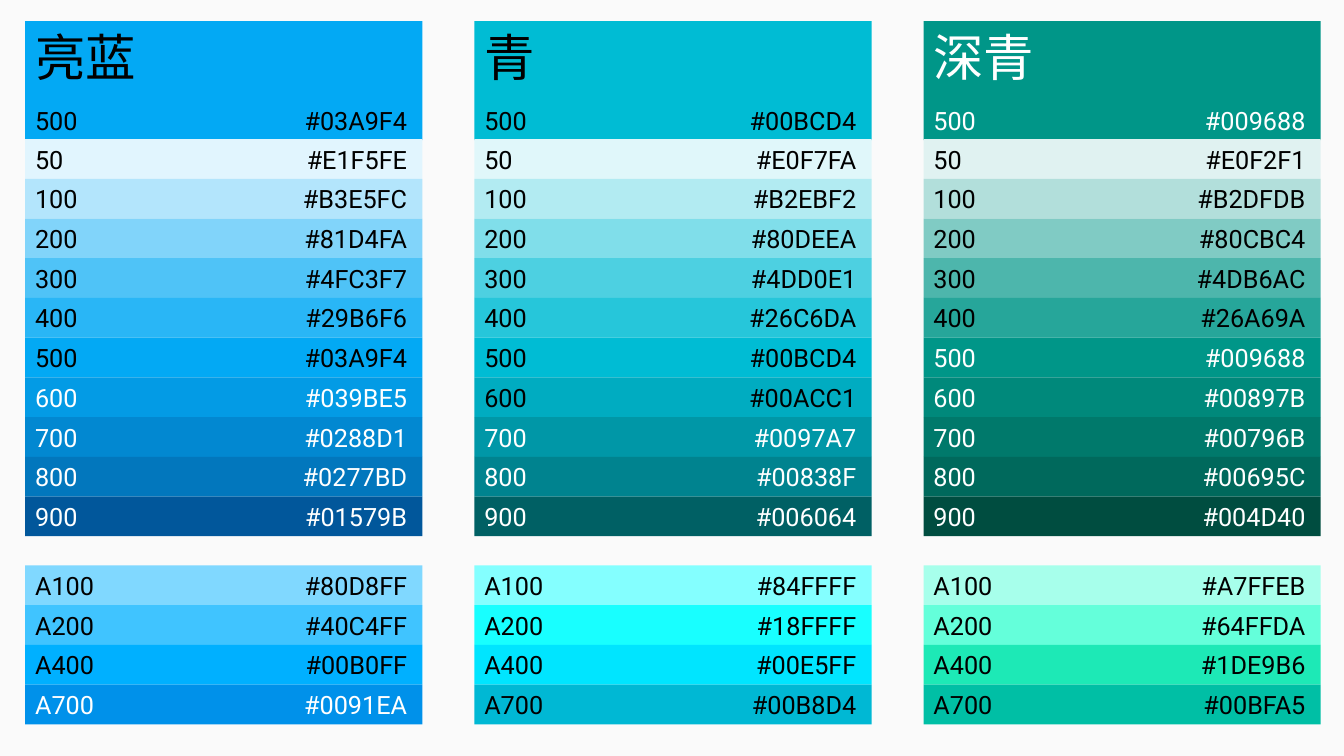
from lxml import etree
from pptx import Presentation, util as u
from pptx.dml.color import RGBColor
from pptx.enum import shapes, text
from pptx.oxml.ns import qn

WIDTH = u.Inches(3.94)
ROW = WIDTH // 10
SHADES = "50 100 200 300 400 500 600 700 800 900".split()
ACCENTS = "A100 A200 A400 A700".split()
FAMILIES = [
    ("亮蓝", "E1F5FE B3E5FC 81D4FA 4FC3F7 29B6F6 03A9F4 039BE5 0288D1 0277BD 01579B",
     "80D8FF 40C4FF 00B0FF 0091EA", "600 700 800 900 A700"),
    ("青", "E0F7FA B2EBF2 80DEEA 4DD0E1 26C6DA 00BCD4 00ACC1 0097A7 00838F 006064",
     "84FFFF 18FFFF 00E5FF 00B8D4", "700 800 900"),
    ("深青", "E0F2F1 B2DFDB 80CBC4 4DB6AC 26A69A 009688 00897B 00796B 00695C 004D40",
     "A7FFEB 64FFDA 1DE9B6 00BFA5", "500 600 700 800 900"),
]


def color(value):
    return RGBColor.from_string(value)


class Palette:
    """Draws colour swatches and headings on one slide."""

    def __init__(self, slide):
        self.slide = slide
        slide.background.fill.solid()
        slide.background.fill.fore_color.rgb = color("FAFAFA")

    def label(self, shape, content, size, font_name, ink):
        paragraph = shape.text_frame.paragraphs[0]
        paragraph.text = content
        paragraph.alignment = text.PP_ALIGN.LEFT
        font = paragraph.runs[0].font
        font.size, font.name = u.Pt(size), font_name
        font.color.rgb = color(ink)
        return paragraph

    def swatch(self, left, top, height, shade, fill, ink, anchor):
        shape = self.slide.shapes.add_shape(
            shapes.MSO_SHAPE.RECTANGLE, left, top, WIDTH, height)
        shape.shadow.inherit = False
        shape.fill.solid()
        shape.fill.fore_color.rgb = color(fill)
        shape.line.fill.background()
        shape.text_frame.vertical_anchor = anchor
        paragraph = self.label(shape, f"{shade}\t#{fill}", 18, "Roboto", ink)
        properties = paragraph._p.get_or_add_pPr()
        tabs = etree.SubElement(properties, qn("a:tabLst"))
        etree.SubElement(tabs, qn("a:tab"), pos=str(u.Inches(3.69)), algn="r")

    def swatches(self, left, top, shades, fills, inks):
        for index, (shade, fill) in enumerate(zip(shades, fills)):
            self.swatch(left, top + index * ROW, ROW, shade, fill, inks[shade],
                        text.MSO_ANCHOR.MIDDLE)

    def heading(self, shape, left, name, ink):
        self.slide.shapes.element.append(shape.element)
        shape.left, shape.top = left, u.Inches(0.21)
        shape.width, shape.height = u.Inches(0.21 + 0.5 * len(name)), u.Inches(0.71)
        frame = shape.text_frame
        frame.vertical_anchor = text.MSO_ANCHOR.TOP
        frame.word_wrap = False
        frame.auto_size = text.MSO_AUTO_SIZE.SHAPE_TO_FIT_TEXT
        typeface = "Noto Sans CJK SC"
        paragraph = self.label(shape, name, 36, typeface, ink)
        properties = paragraph.runs[0]._r.get_or_add_rPr()
        etree.SubElement(properties, qn("a:ea"), typeface=typeface)

    def family(self, left, name, fills, accents, white_shades):
        inks = {shade: "FFFFFF" if shade in white_shades else "000000"
                for shade in SHADES + ACCENTS}
        main = fills[SHADES.index("500")]
        self.swatch(left, u.Inches(0.21), 3 * ROW, "500", main, inks["500"],
                    text.MSO_ANCHOR.BOTTOM)
        self.swatches(left, u.Inches(1.38), SHADES, fills, inks)
        self.swatches(left, u.Inches(5.61), ACCENTS, accents, inks)
        is_first = name == FAMILIES[0][0]
        shape = (self.slide.shapes.title if is_first
                 else self.slide.shapes.add_textbox(left, 0, WIDTH, ROW))
        self.heading(shape, left, name, inks["500"])


presentation = Presentation()
presentation.slide_width = u.Inches(13.33)
presentation.slide_height = u.Inches(7.5)
palette = Palette(presentation.slides.add_slide(presentation.slide_layouts[5]))
for column, (name, fills, accents, white_shades) in enumerate(FAMILIES):
    palette.family(u.Inches(0.25 + column * 8.91 / 2), name, fills.split(),
                   accents.split(), white_shades.split())
presentation.save("out.pptx")
